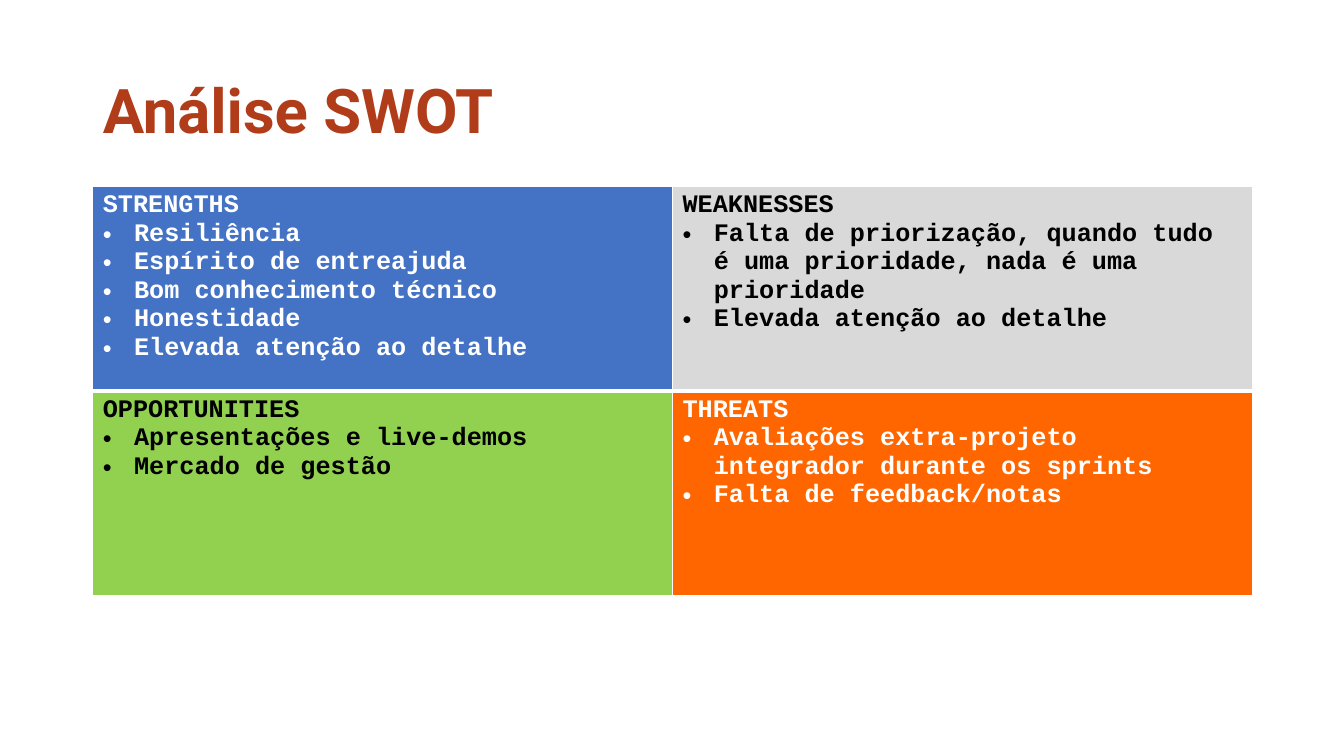
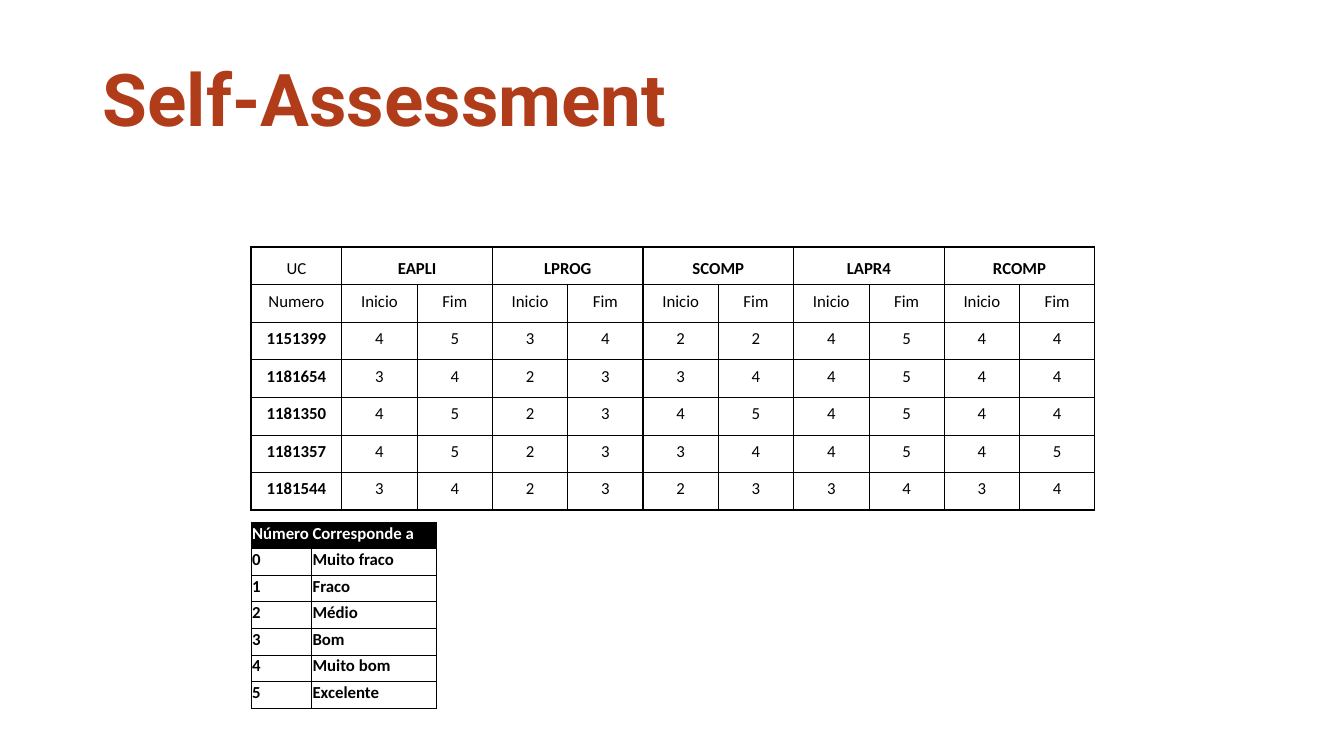
from dataclasses import dataclass

from lxml import etree
from pptx import Presentation
from pptx import util as u
from pptx.dml.color import RGBColor
from pptx.enum import text
from pptx.oxml import ns


@dataclass(frozen=True)
class Theme:
    accent: str = "B13C19"
    white: str = "FFFFFF"
    black: str = "000000"
    strengths: str = "4472C4"
    weaknesses: str = "D9D9D9"
    opportunities: str = "92D050"
    threats: str = "FF6600"
    title_font: str = "Roboto"
    swot_font: str = "Courier New"
    grid_font: str = "Calibri"
    swot_size: int = 18
    grid_size: int = 12
    thin: float = 0.5
    medium: float = 1
    thick: float = 3


THEME = Theme()
LEFT, WIDTH = 0.92, 11.5
GRID_LEFT = 2.49
GRID_MARGINS = {
    "margin_left": u.Inches(0.01),
    "margin_top": u.Inches(0.01),
    "margin_right": u.Inches(0.01),
    "margin_bottom": u.Inches(0.05),
}

SWOT = [
    [
        ("STRENGTHS", THEME.strengths, THEME.white,
         ["Resiliência", "Espírito de entreajuda", "Bom conhecimento técnico",
          "Honestidade", "Elevada atenção ao detalhe"]),
        ("WEAKNESSES", THEME.weaknesses, THEME.black,
         ["Falta de priorização, quando tudo é uma prioridade, nada é uma prioridade",
          "Elevada atenção ao detalhe"]),
    ],
    [
        ("OPPORTUNITIES", THEME.opportunities, THEME.black,
         ["Apresentações e live-demos", "Mercado de gestão"]),
        ("THREATS", THEME.threats, THEME.white,
         ["Avaliações extra-projeto integrador durante os sprints",
          "Falta de feedback/notas"]),
    ],
]
COURSES = ["EAPLI", "LPROG", "SCOMP", "LAPR4", "RCOMP"]
SCORES = {
    "1151399": "4534224544",
    "1181654": "3423344544",
    "1181350": "4523454544",
    "1181357": "4523344545",
    "1181544": "3423233434",
}
SCALE = ["Muito fraco", "Fraco", "Médio", "Bom", "Muito bom", "Excelente"]


def apply(target, formats):
    for attribute, value in formats.items():
        setattr(target, attribute, value)


def write(paragraph, wording, font, size, color, bold=True):
    run = paragraph.add_run()
    run.text = wording
    apply(run.font, {"name": font, "size": u.Pt(size), "bold": bold})
    run.font.color.rgb = RGBColor.from_string(color)


def add_titled_slide(deck, wording, top, height, size):
    slide = deck.slides.add_slide(deck.slide_layouts[5])
    title = slide.shapes.title
    apply(title, {"left": u.Inches(LEFT), "top": u.Inches(top),
                  "width": u.Inches(WIDTH), "height": u.Inches(height)})
    apply(title.text_frame, {"vertical_anchor": text.MSO_ANCHOR.MIDDLE,
                             "auto_size": text.MSO_AUTO_SIZE.NONE,
                             "word_wrap": True})
    heading = title.text_frame.paragraphs[0]
    apply(heading, {"alignment": text.PP_ALIGN.LEFT, "line_spacing": 0.9})
    write(heading, wording, THEME.title_font, size, THEME.accent)
    return slide


def add_plain_table(slide, left, top, widths, heights):
    table = slide.shapes.add_table(
        len(heights), len(widths), u.Inches(left), u.Inches(top),
        u.Inches(sum(widths)), u.Inches(sum(heights))).table
    apply(table, {"first_row": False, "horz_banding": False})
    for column, width in zip(table.columns, widths):
        column.width = u.Inches(width)
    for row, height in zip(table.rows, heights):
        row.height = u.Inches(height)
    return table


def style_cell(cell, color, borders, fill=None):
    properties = cell._tc.get_or_add_tcPr()
    for side in "LRTB":
        line = etree.SubElement(properties, ns.qn(f"a:ln{side}"),
                                w=str(u.Pt(borders[side])))
        solid = etree.SubElement(line, ns.qn("a:solidFill"))
        etree.SubElement(solid, ns.qn("a:srgbClr"), val=color)
    if fill:
        cell.fill.solid()
        cell.fill.fore_color.rgb = RGBColor.from_string(fill)
    else:
        cell.fill.background()


def add_bullet(paragraph):
    properties = paragraph._p.get_or_add_pPr()
    indent = u.Inches(0.31)
    properties.set("marL", str(indent))
    properties.set("indent", str(-indent))
    etree.SubElement(properties, ns.qn("a:buFont"), typeface="Arial")
    etree.SubElement(properties, ns.qn("a:buChar"), char="•")


def fill_quadrant(cell, heading, color, points):
    frame = cell.text_frame
    write(frame.paragraphs[0], heading, THEME.swot_font, THEME.swot_size, color)
    for point in points:
        paragraph = frame.add_paragraph()
        add_bullet(paragraph)
        write(paragraph, point, THEME.swot_font, THEME.swot_size, color)


def fill_grid_cell(cell, wording, color, bold, anchor, alignment):
    apply(cell, {**GRID_MARGINS, "vertical_anchor": anchor})
    paragraph = cell.text_frame.paragraphs[0]
    paragraph.alignment = alignment
    if wording:
        write(paragraph, wording, THEME.grid_font, THEME.grid_size, color, bold)


def add_swot(slide):
    table = add_plain_table(slide, LEFT, 1.85, [WIDTH / 2] * 2, [2.03] * 2)
    for r, quadrants in enumerate(SWOT):
        for c, (heading, fill, color, points) in enumerate(quadrants):
            borders = dict.fromkeys("LRTB", THEME.medium)
            borders["T" if r else "B"] = THEME.thick
            style_cell(table.cell(r, c), THEME.white, borders, fill)
            fill_quadrant(table.cell(r, c), heading, color, points)


def add_scores(slide):
    header = ["UC"] + [label for course in COURSES for label in (course, "")]
    periods = ["Numero"] + ["Inicio", "Fim"] * len(COURSES)
    rows = [header, periods] + [[number, *marks] for number, marks in SCORES.items()]
    first_width, full_width, full_height = 0.9, 8.37, 2.61
    mark_width = (full_width - first_width) / (len(header) - 1)
    table = add_plain_table(
        slide, GRID_LEFT, 2.45,
        [first_width] + [mark_width] * (len(header) - 1),
        [full_height / len(rows)] * len(rows))
    for r, row in enumerate(rows):
        for c, wording in enumerate(row):
            outer = {
                "L": r == 0 or c == 0 or c % 2 == 1,
                "R": r == 0 or c % 2 == 0,
                "T": r == 0,
                "B": r == len(rows) - 1,
            }
            borders = {side: THEME.medium if edge else THEME.thin
                       for side, edge in outer.items()}
            style_cell(table.cell(r, c), THEME.black, borders)
            bold = c > 0 if r == 0 else r > 1 and c == 0
            anchor = text.MSO_ANCHOR.MIDDLE if r else text.MSO_ANCHOR.BOTTOM
            fill_grid_cell(table.cell(r, c), wording, THEME.black, bold,
                           anchor, text.PP_ALIGN.CENTER)
    for c in range(1, len(header), 2):
        table.cell(0, c).merge(table.cell(0, c + 1))


def add_scale(slide):
    rows = [("Número", "Corresponde a")]
    rows += [(str(mark), meaning) for mark, meaning in enumerate(SCALE)]
    table = add_plain_table(slide, GRID_LEFT, 5.18, [0.6, 1.24],
                            [0.22] * len(rows))
    for r, row in enumerate(rows):
        for c, wording in enumerate(row):
            style_cell(table.cell(r, c), THEME.black,
                       dict.fromkeys("LRTB", THEME.thin),
                       None if r else THEME.black)
            fill_grid_cell(table.cell(r, c), wording,
                           THEME.black if r else THEME.white, True,
                           text.MSO_ANCHOR.BOTTOM, text.PP_ALIGN.LEFT)


def main():
    deck = Presentation()
    apply(deck, {"slide_width": u.Inches(13.33), "slide_height": u.Inches(7.5)})
    add_swot(add_titled_slide(deck, "Análise SWOT", 0.4, 1.45, 44))
    assessment = add_titled_slide(deck, "Self-Assessment", 0.2, 1.65, 52)
    add_scores(assessment)
    add_scale(assessment)
    deck.save("out.pptx")


if __name__ == "__main__":
    main()
